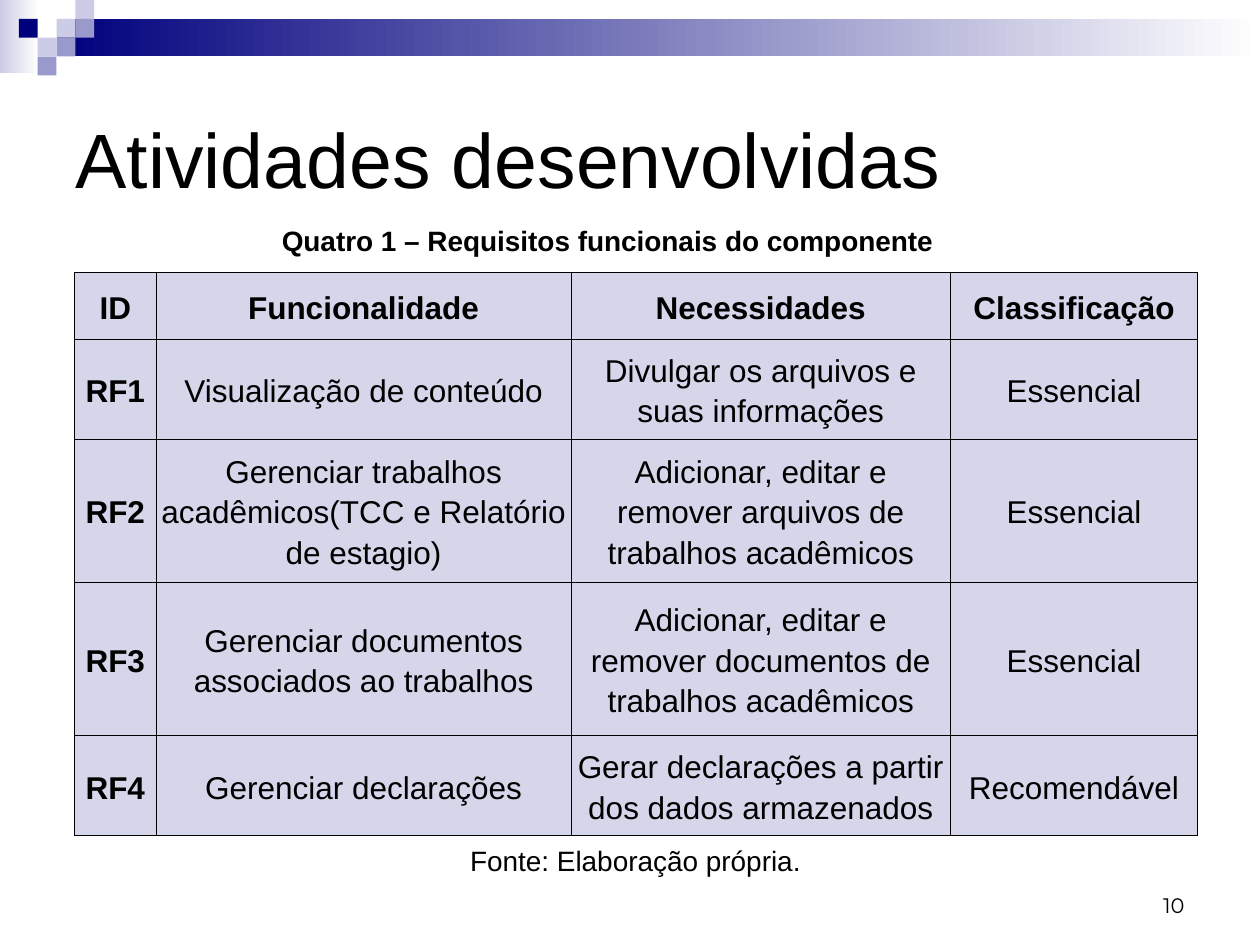
from lxml import etree
from pptx import Presentation
from pptx import util as u
from pptx.dml.color import RGBColor
from pptx.enum import shapes, text
from pptx.oxml.ns import qn

BLACK = RGBColor(0x00, 0x00, 0x00)
WHITE = RGBColor(0xFF, 0xFF, 0xFF)
NAVY = RGBColor(0x00, 0x00, 0x7D)
LILAC = RGBColor(0xCC, 0xCC, 0xE6)
VIOLET = RGBColor(0x99, 0x99, 0xCC)
CELL_FILL = RGBColor(0xD6, 0xD6, 0xEB)
BORDER = "000001"

TITLE = "Atividades desenvolvidas"
CAPTION = "Quatro 1 – Requisitos funcionais do componente"
SOURCE = "Fonte: Elaboração própria."
PAGE_NUMBER = "10"

ROWS = [
    ("ID", "Funcionalidade", "Necessidades", "Classificação"),
    ("RF1", "Visualização de conteúdo",
     "Divulgar os arquivos e suas informações", "Essencial"),
    ("RF2", "Gerenciar trabalhos acadêmicos(TCC e Relatório de estagio)",
     "Adicionar, editar e remover arquivos de trabalhos acadêmicos", "Essencial"),
    ("RF3", "Gerenciar documentos associados ao trabalhos",
     "Adicionar, editar e remover documentos de trabalhos acadêmicos", "Essencial"),
    ("RF4", "Gerenciar declarações",
     "Gerar declarações a partir dos dados armazenados", "Recomendável"),
]
COLUMN_WIDTHS = [1.65, 8.36, 7.65, 4.98]
ROW_HEIGHTS = [1.35, 1.93, 2.79, 3.1, 1.93]

SQUARE = 0.38
BANDS = [((0, 0, 0.79, 1.47), LILAC), ((1.14, SQUARE, 24.26, 2 * SQUARE), NAVY)]
SQUARES = [(3, 1, LILAC), (4, 0, LILAC), (4, 1, VIOLET), (2, 2, LILAC),
           (1, 1, NAVY), (3, 2, VIOLET), (2, 3, VIOLET)]


def write(frame, content, size=16, font="Arial", bold=False,
          align=text.PP_ALIGN.CENTER, anchor=text.MSO_ANCHOR.TOP, spacing=1.0):
    frame.word_wrap = True
    frame.vertical_anchor = anchor
    para = frame.paragraphs[0]
    para.alignment = align
    para.line_spacing = spacing
    span = para.add_run()
    span.text = content
    span.font.name = font
    span.font.size = u.Pt(size)
    span.font.bold = bold
    span.font.color.rgb = BLACK


def add_rectangle(page, left, top, width, height):
    box = page.shapes.add_shape(shapes.MSO_SHAPE.RECTANGLE, u.Cm(left), u.Cm(top),
                                u.Cm(width), u.Cm(height))
    box.shadow.inherit = False
    box.line.fill.background()
    return box


def add_text(page, left, top, width, height, content, **style):
    box = page.shapes.add_textbox(u.Cm(left), u.Cm(top), u.Cm(width), u.Cm(height))
    write(box.text_frame, content, **style)


def add_borders(cell):
    properties = cell._tc.get_or_add_tcPr()
    for side in ("a:lnL", "a:lnR", "a:lnT", "a:lnB"):
        line = etree.SubElement(properties, qn(side), w=str(u.Pt(0.34)))
        fill = etree.SubElement(line, qn("a:solidFill"))
        etree.SubElement(fill, qn("a:srgbClr"), val=BORDER)


def add_decoration(page):
    for place, color in BANDS:
        fill = add_rectangle(page, *place).fill
        fill.gradient()
        fill.gradient_angle = 0
        for stop, shade in zip(fill.gradient_stops, (color, WHITE)):
            stop.color.rgb = shade
    for column, row, color in SQUARES:
        box = add_rectangle(page, column * SQUARE, row * SQUARE, SQUARE, SQUARE)
        box.fill.solid()
        box.fill.fore_color.rgb = color


def add_requirements(page):
    frame = page.shapes.add_table(
        len(ROWS), len(COLUMN_WIDTHS), u.Cm(1.5), u.Cm(5.49),
        u.Cm(sum(COLUMN_WIDTHS)), u.Cm(sum(ROW_HEIGHTS)))
    table = frame.table
    table.horz_banding = False
    for column, width in zip(table.columns, COLUMN_WIDTHS):
        column.width = u.Cm(width)
    for row, height in zip(table.rows, ROW_HEIGHTS):
        row.height = u.Cm(height)
    for r, values in enumerate(ROWS):
        for c, value in enumerate(values):
            cell = table.cell(r, c)
            cell.margin_left = cell.margin_right = u.Cm(0.08)
            cell.vertical_anchor = text.MSO_ANCHOR.MIDDLE
            add_borders(cell)
            cell.fill.solid()
            cell.fill.fore_color.rgb = CELL_FILL
            write(cell.text_frame, value, size=18, bold=r == 0 or c == 0,
                  anchor=text.MSO_ANCHOR.MIDDLE, spacing=1.15)


def main():
    deck = Presentation()
    deck.slide_width, deck.slide_height = u.Cm(25.4), u.Cm(19.05)
    page = deck.slides.add_slide(deck.slide_layouts[5])
    add_decoration(page)

    title = page.shapes.title
    title.left, title.top = u.Cm(1.27), u.Cm(1.27)
    title.width, title.height = u.Cm(22.86), u.Cm(3.81)
    write(title.text_frame, TITLE, size=44, align=text.PP_ALIGN.LEFT,
          anchor=text.MSO_ANCHOR.MIDDLE)

    add_text(page, 18.21, 17.35, 5.92, 1.27, PAGE_NUMBER, size=12, font="Montserrat",
             align=text.PP_ALIGN.RIGHT, anchor=text.MSO_ANCHOR.BOTTOM)
    add_requirements(page)
    add_text(page, 4.45, 4.39, 15.6, 0.94, CAPTION, bold=True)
    add_text(page, 9.09, 16.54, 7.44, 1.27, SOURCE, spacing=1.5)
    deck.save("out.pptx")


if __name__ == "__main__":
    main()
